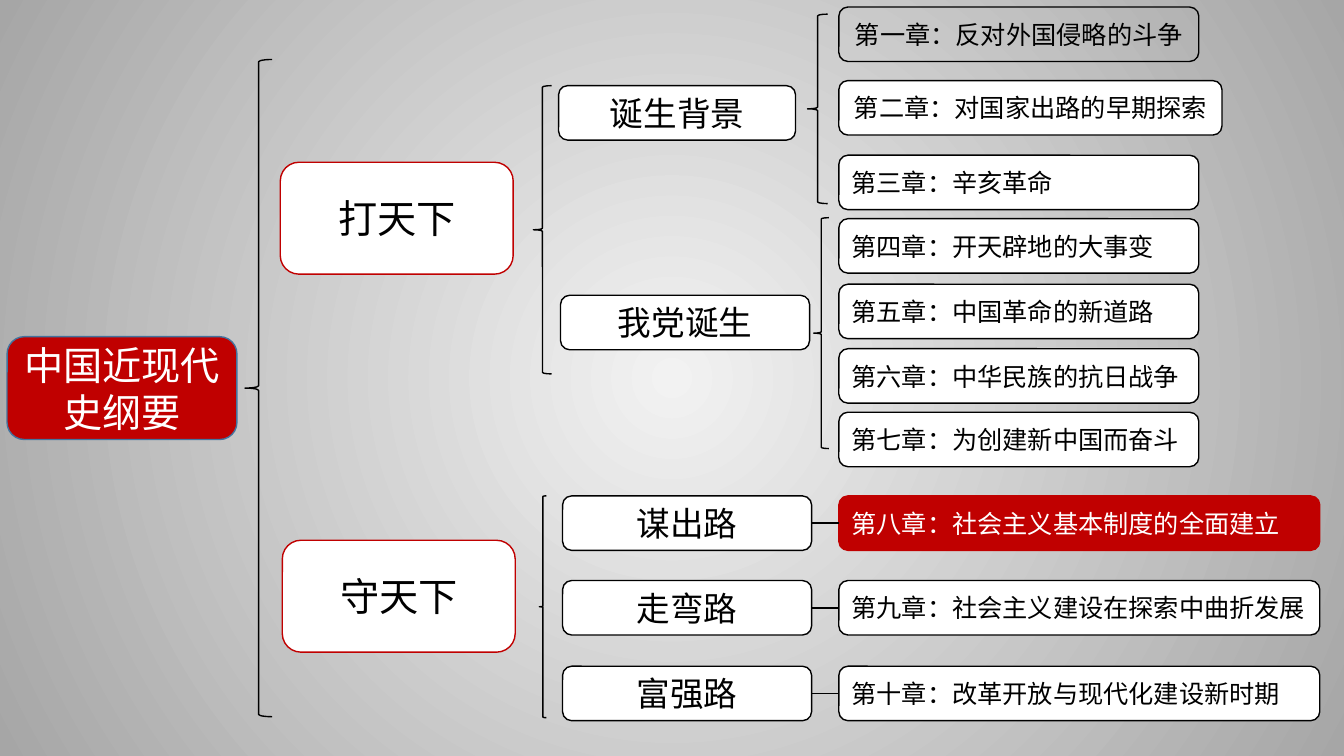
from pptx import Presentation
from pptx.dml.color import RGBColor
from pptx.enum.shapes import MSO_CONNECTOR as Connector, MSO_SHAPE as Shape
from pptx.enum.text import MSO_ANCHOR as Anchor, PP_ALIGN as Align
from pptx.oxml import parse_xml
from pptx.oxml.ns import nsdecls, qn
from pptx.util import Inches, Pt

COLORS = {
    "red": "C00000",
    "blue": "43739E",
    "black": "000000",
    "white": "FFFFFF",
    "center": "F2F2F2",
    "edge": "A6A6A6",
}


class MindMap:
    font_name = "Noto Sans CJK SC"
    line_width = Pt(1)

    def __init__(self, slide):
        self.slide = slide

    def color(self, name):
        return RGBColor.from_string(COLORS[name])

    def background(self):
        fill = self.slide.background.fill
        fill.gradient()
        for stop, position, name in zip(fill.gradient_stops, (0, 1), ("center", "edge")):
            stop.position = position
            stop.color.rgb = self.color(name)
        gradient = self.slide.element.find(".//" + qn("a:gradFill"))
        gradient.replace(
            gradient.find(qn("a:lin")),
            parse_xml(
                f'<a:path {nsdecls("a")} path="circle">'
                '<a:fillToRect l="50000" t="50000" r="50000" b="50000"/></a:path>'
            ),
        )

    def outline(self, shape, name):
        shape.line.color.rgb = self.color(name)
        shape.line.width = self.line_width

    def shape(self, kind, left, top, width, height, fill, line):
        shape = self.slide.shapes.add_shape(
            kind, Inches(left), Inches(top), Inches(width), Inches(height)
        )
        shape.shadow.inherit = False
        if fill:
            shape.fill.solid()
            shape.fill.fore_color.rgb = self.color(fill)
        else:
            shape.fill.background()
        self.outline(shape, line)
        return shape

    def box(self, text, left, top, width, height, size,
            fill="white", line="black", text_color="black", align=Align.CENTER):
        shape = self.shape(Shape.ROUNDED_RECTANGLE, left, top, width, height, fill, line)
        frame = shape.text_frame
        frame.word_wrap = True
        frame.vertical_anchor = Anchor.MIDDLE
        frame.text = text
        paragraph = frame.paragraphs[0]
        paragraph.alignment = align
        font = paragraph.runs[0].font
        font.size = Pt(size)
        font.name = self.font_name
        font.color.rgb = self.color(text_color)
        properties = paragraph.runs[0]._r.get_or_add_rPr()
        properties.find(qn("a:latin")).addnext(
            parse_xml(f'<a:ea {nsdecls("a")} typeface="{self.font_name}"/>')
        )
        return shape

    def brace(self, left, top, width, height):
        self.shape(Shape.LEFT_BRACE, left, top, width, height, None, "black")

    def link(self, start, end):
        connector = self.slide.shapes.add_connector(Connector.STRAIGHT, 0, 0, 0, 0)
        connector.begin_connect(start, 3)
        connector.end_connect(end, 1)
        self.outline(connector, "black")
        connector._element.spPr.append(parse_xml(f'<a:effectLst {nsdecls("a")}/>'))


BOX_HEIGHT = 0.54
CHAPTER_LEFT = 8.32

BRACES = [
    (2.43, 0.59, 0.27, 6.52),
    (5.29, 0.85, 0.18, 2.86),
    (5.35, 4.92, 0.07, 2.2),
    (8.01, 0.14, 0.2, 1.88),
    (8.07, 2.16, 0.15, 2.29),
]
ERAS = [("打天下", 2.78, 1.61), ("守天下", 2.8, 5.36)]
ORIGINS = [("诞生背景", 5.54, 0.85, 2.35), ("我党诞生", 5.56, 2.93, 2.47)]
EARLY_CHAPTERS = [
    ("第一章：反对外国侵略的斗争", 0.07, 3.57, None, Align.CENTER),
    ("第二章：对国家出路的早期探索", 0.8, 3.8, "white", Align.CENTER),
    ("第三章：辛亥革命", 1.54, 3.57, "white", Align.LEFT),
    ("第四章：开天辟地的大事变", 2.17, 3.57, "white", Align.LEFT),
    ("第五章：中国革命的新道路", 2.82, 3.57, "white", Align.LEFT),
    ("第六章：中华民族的抗日战争", 3.46, 3.57, "white", Align.LEFT),
    ("第七章：为创建新中国而奋斗", 4.09, 3.57, "white", Align.LEFT),
]
ROADS = [
    ("谋出路", "第八章：社会主义基本制度的全面建立", 4.92, ("red", "red", "white")),
    ("走弯路", "第九章：社会主义建设在探索中曲折发展", 5.76, ("white", "black", "black")),
    ("富强路", "第十章：改革开放与现代化建设新时期", 6.61, ("white", "black", "black")),
]


def main():
    presentation = Presentation()
    presentation.slide_width = Inches(13.33)
    presentation.slide_height = Inches(7.5)
    mind_map = MindMap(presentation.slides.add_slide(presentation.slide_layouts[6]))
    mind_map.background()

    mind_map.box("中国近现代史纲要", 0.07, 3.34, 2.28, 1.02, 28, "red", "blue", "white")
    for brace in BRACES:
        mind_map.brace(*brace)
    for text, left, top in ERAS:
        mind_map.box(text, left, top, 2.31, 1.11, 28, line="red")
    for text, left, top, width in ORIGINS:
        mind_map.box(text, left, top, width, BOX_HEIGHT, 24)
    for text, top, width, fill, align in EARLY_CHAPTERS:
        mind_map.box(text, CHAPTER_LEFT, top, width, BOX_HEIGHT, 18, fill, align=align)
    for road, chapter, top, colors in ROADS:
        road_box = mind_map.box(road, 5.58, top, 2.47, BOX_HEIGHT, 24)
        chapter_box = mind_map.box(
            chapter, CHAPTER_LEFT, top, 4.77, BOX_HEIGHT, 18, *colors, align=Align.LEFT
        )
        mind_map.link(road_box, chapter_box)

    presentation.save("out.pptx")


if __name__ == "__main__":
    main()
